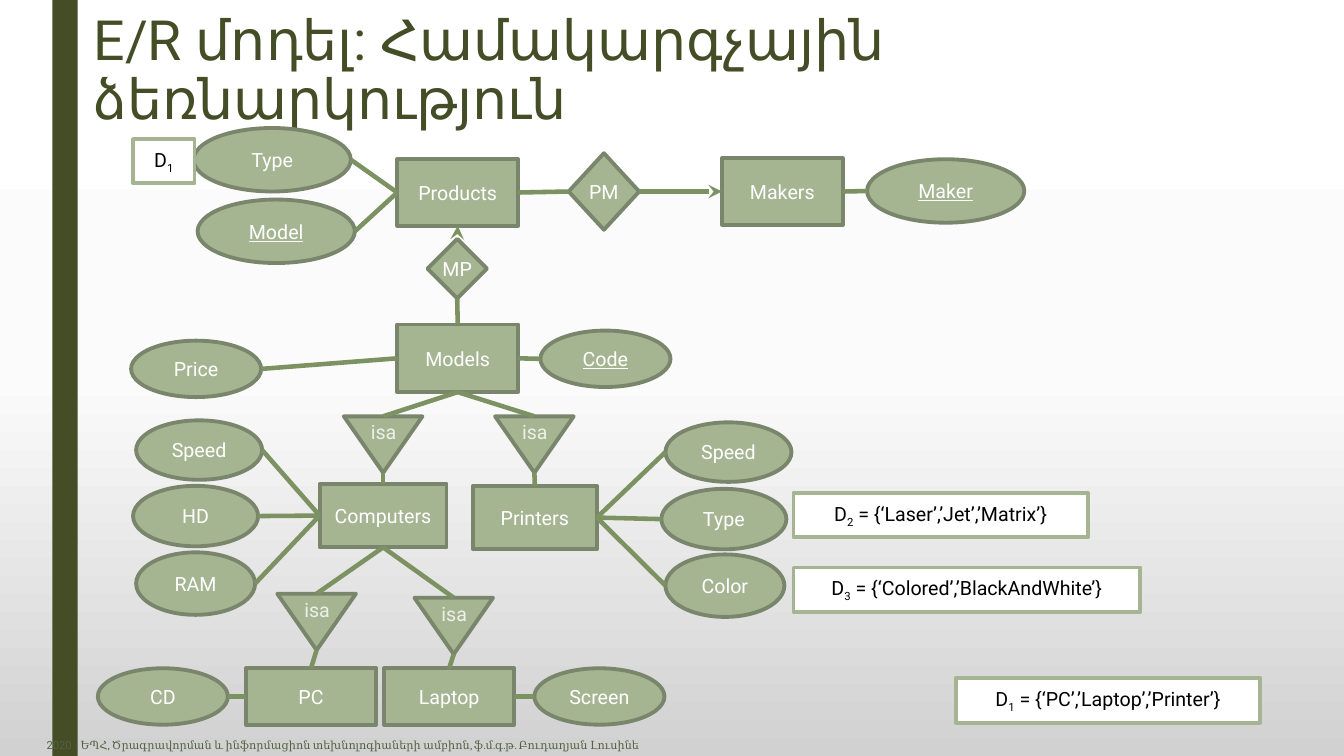
from copy import deepcopy
from dataclasses import dataclass
from enum import IntEnum

from lxml.etree import SubElement
from pptx import Presentation
from pptx.dml.color import RGBColor
from pptx.enum.shapes import MSO_CONNECTOR, MSO_SHAPE as Shape
from pptx.enum.text import MSO_ANCHOR as Anchor, PP_ALIGN as Align
from pptx.oxml.ns import qn
from pptx.util import Emu, Inches, Pt

DARK = RGBColor(0x44, 0x4D, 0x26)
FOOTER = RGBColor(0x53, 0x61, 0x42)
SAGE = RGBColor(0xA5, 0xB5, 0x92)
OUTLINE = RGBColor(0x7A, 0x86, 0x6C)
LINK = RGBColor(0x7D, 0x92, 0x63)
PALE = RGBColor(0xED, 0xF0, 0xE9)
WHITE = RGBColor(0xFF, 0xFF, 0xFF)
BLACK = RGBColor(0x00, 0x00, 0x00)
BACKGROUND = ((0, WHITE), (0.5, RGBColor(0xFB, 0xFB, 0xFB)), (1, RGBColor(0xD1, 0xD1, 0xD1)))

COLS, ROWS = 133.3, 75
CELL = Inches(0.1)
ENTITY, ATTRIBUTE, RELATION, ISA = Shape.RECTANGLE, Shape.OVAL, Shape.DIAMOND, Shape.ISOSCELES_TRIANGLE


class Side(IntEnum):
    TOP = 0
    LEFT = 1
    BOTTOM = 2
    RIGHT = 3


T, L, B, R = Side


@dataclass(frozen=True)
class Box:
    col: float
    row: float
    cols: float
    rows: float

    def emu(self) -> tuple[Emu, ...]:
        return tuple(grid(v) for v in (self.col, self.row, self.cols, self.rows))


@dataclass(frozen=True)
class Node:
    key: str
    kind: Shape
    box: Box
    text: str = ""
    is_key: bool = False


@dataclass(frozen=True)
class Link:
    start: str
    start_side: Side
    end: str
    end_side: Side
    arrow: bool = False


NODES = [
    Node("products", ENTITY, Box(39.4, 15.8, 12, 6.6), "Products"),
    Node("makers", ENTITY, Box(71.6, 15.7, 12, 6.6), "Makers"),
    Node("models", ENTITY, Box(39.4, 32.2, 12, 6.7), "Models"),
    Node("computers", ENTITY, Box(31.7, 48, 12.6, 6.3), "Computers"),
    Node("printers", ENTITY, Box(46.9, 48.2, 12.3, 6.3), "Printers"),
    Node("pc", ENTITY, Box(24.4, 66.3, 12.9, 5.6), "PC"),
    Node("laptop", ENTITY, Box(38.1, 66.3, 12.9, 5.6), "Laptop"),
    Node("pm", RELATION, Box(56.4, 15.2, 7, 7.6), "PM"),
    Node("mp", RELATION, Box(42.4, 23.7, 5.9, 5.9), "MP"),
    Node("isa computers", ISA, Box(34.1, 41.3, 7.8, 5.6)),
    Node("isa printers", ISA, Box(49.1, 41.3, 7.8, 5.6)),
    Node("isa pc", ISA, Box(27.5, 58.9, 7.8, 5.6)),
    Node("isa laptop", ISA, Box(41.1, 59.3, 7.8, 5.6)),
    Node("product type", ATTRIBUTE, Box(19.2, 12.7, 15.6, 6.3), "Type"),
    Node("model", ATTRIBUTE, Box(19.6, 19.8, 15.6, 6.3), "Model", True),
    Node("maker", ATTRIBUTE, Box(86, 15.8, 15.6, 6.3), "Maker", True),
    Node("code", ATTRIBUTE, Box(53.6, 32.8, 12.9, 5.6), "Code", True),
    Node("price", ATTRIBUTE, Box(13, 33.8, 12.9, 5.6), "Price"),
    Node("computer speed", ATTRIBUTE, Box(13.5, 41.7, 12.5, 5.9), "Speed"),
    Node("hd", ATTRIBUTE, Box(13.2, 48.2, 12.4, 6), "HD"),
    Node("ram", ATTRIBUTE, Box(13.5, 54.8, 11.8, 6.2), "RAM"),
    Node("printer speed", ATTRIBUTE, Box(66, 41.9, 12.5, 5.9), "Speed"),
    Node("printer type", ATTRIBUTE, Box(65.6, 48.5, 12.4, 6), "Type"),
    Node("color", ATTRIBUTE, Box(66, 55, 11.8, 6.2), "Color"),
    Node("cd", ATTRIBUTE, Box(9.7, 66.3, 12.9, 5.6), "CD"),
    Node("screen", ATTRIBUTE, Box(53, 66.3, 12.9, 5.6), "Screen"),
]

LINKS = [
    *(Link("products", L, a, R) for a in ("product type", "model")),
    *(Link("computers", L, a, R) for a in ("computer speed", "hd", "ram")),
    *(Link("printers", R, a, L) for a in ("printer speed", "printer type", "color")),
    Link("products", R, "pm", L),
    Link("pm", R, "makers", L, arrow=True),
    Link("makers", R, "maker", L),
    Link("models", T, "mp", B),
    Link("mp", T, "products", B, arrow=True),
    Link("models", R, "code", L),
    Link("models", L, "price", R),
    Link("pc", L, "cd", R),
    Link("laptop", R, "screen", L),
]
for parent, children in {"models": ("computers", "printers"), "computers": ("pc", "laptop")}.items():
    for child in children:
        LINKS += [Link(parent, B, f"isa {child}", T), Link(child, T, f"isa {child}", B)]

# Text between underscores is set as a subscript.
DOMAINS = [
    (Box(13.2, 13.8, 6.1, 4.4), "D_1_"),
    (Box(78.7, 48.9, 29.2, 4.4), "D_2_ = {‘Laser’,’Jet’,’Matrix’}"),
    (Box(78.7, 56.3, 34.4, 4.4), "D_3_ = {‘Colored’,’BlackAndWhite’}"),
    (Box(94.8, 67.3, 30.2, 4.4), "D_1_ = {‘PC’,’Laptop’,’Printer’}"),
]


def grid(cells: float) -> Emu:
    return Emu(round(cells * CELL))


def write(tf, text: str, *, size=14, color=WHITE, font="Roboto", underline=False,
          align=Align.CENTER, anchor=Anchor.MIDDLE) -> None:
    """Append text to the first paragraph, with subscripts between underscores."""
    tf.word_wrap = True
    tf.vertical_anchor = anchor
    p = tf.paragraphs[0]
    p.alignment = align
    for i, piece in enumerate(text.split("_")):
        if not piece:
            continue
        r = p.add_run()
        r.text = piece
        r.font.name, r.font.size = font, Pt(size)
        r.font.color.rgb = color
        if underline:
            r.font.underline = True
        if i % 2:
            r._r.get_or_add_rPr().set("baseline", "-25000")


def add_box(s, kind: Shape, box: Box, fill: RGBColor, line: RGBColor | None = None):
    sp = s.shapes.add_shape(kind, *box.emu())
    sp.shadow.inherit = False
    sp.fill.solid()
    sp.fill.fore_color.rgb = fill
    if line is None:
        sp.line.fill.background()
    else:
        sp.line.color.rgb = line
        sp.line.width = Pt(2.75)
    return sp


def add_text(s, box: Box):
    return s.shapes.add_textbox(*box.emu()).text_frame


def add_node(s, node: Node):
    sp = add_box(s, node.kind, node.box, SAGE, OUTLINE)
    if node.kind == ISA:
        sp.rotation = 180
        label = Box(node.box.col + 1.35, node.box.row - 0.05, 5.2, 3.2)
        write(add_text(s, label), "isa", color=PALE)
    else:
        if node.kind == RELATION:
            sp.text_frame.margin_left = sp.text_frame.margin_right = 0
        write(sp.text_frame, node.text, underline=node.is_key)
    return sp


def side_point(sp, side: Side) -> tuple[Emu, Emu]:
    across, down = {T: (0.5, 0), L: (0, 0.5), B: (0.5, 1), R: (1, 0.5)}[side]
    return Emu(round(sp.left + across * sp.width)), Emu(round(sp.top + down * sp.height))


def add_link(s, link: Link, shapes: dict) -> None:
    start, end = shapes[link.start], shapes[link.end]
    c = s.shapes.add_connector(MSO_CONNECTOR.STRAIGHT, *side_point(start, link.start_side),
                               *side_point(end, link.end_side))
    joinable = (ENTITY, RELATION)
    if start.auto_shape_type in joinable:
        c.begin_connect(start, link.start_side)
    if end.auto_shape_type in joinable:
        c.end_connect(end, link.end_side)
    c.line.color.rgb = LINK
    c.line.width = Pt(3.25)
    if link.arrow:
        SubElement(c.line._get_or_add_ln(), qn("a:tailEnd"), type="stealth")
    SubElement(c._element.spPr, qn("a:effectLst"))


def paint_background(s) -> None:
    fill = s.background.fill
    fill.gradient()
    fill.gradient_angle = 270
    stops = s.element.find(".//" + qn("a:gsLst"))
    stops.append(deepcopy(stops[0]))
    for stop, (position, color) in zip(fill.gradient_stops, BACKGROUND):
        stop.position = position
        stop.color.rgb = color


def main() -> None:
    prs = Presentation()
    prs.slide_width, prs.slide_height = grid(COLS), grid(ROWS)
    s = prs.slides.add_slide(prs.slide_layouts[6])
    paint_background(s)
    add_box(s, Shape.RECTANGLE, Box(5.2, 0, 2.5, ROWS), DARK)

    title = add_text(s, Box(8.3, 0.8, 124, 7.6))
    write(title, "E/R մոդել: Համակարգչային ձեռնարկություն", size=39.6, color=DARK,
          align=Align.LEFT, anchor=Anchor.TOP)
    title.paragraphs[0].line_spacing = 0.89

    footer = add_text(s, Box(0, 72.8, 68.1, 2.3))
    write(footer, "2020", size=8, color=FOOTER, anchor=Anchor.TOP)
    write(footer, " - ԵՊՀ, Ծրագրավորման և ինֆորմացիոն տեխնոլոգիաների ամբիոն, ֆ.մ.գ.թ. Բուդաղյան Լուսինե",
          size=8, color=FOOTER, font="Cambria", anchor=Anchor.TOP)

    shapes = {node.key: add_node(s, node) for node in NODES}
    for link in LINKS:
        add_link(s, link, shapes)
    for box, text in DOMAINS:
        write(add_box(s, Shape.RECTANGLE, box, WHITE, SAGE).text_frame, text, color=BLACK)
    prs.save("out.pptx")


if __name__ == "__main__":
    main()
